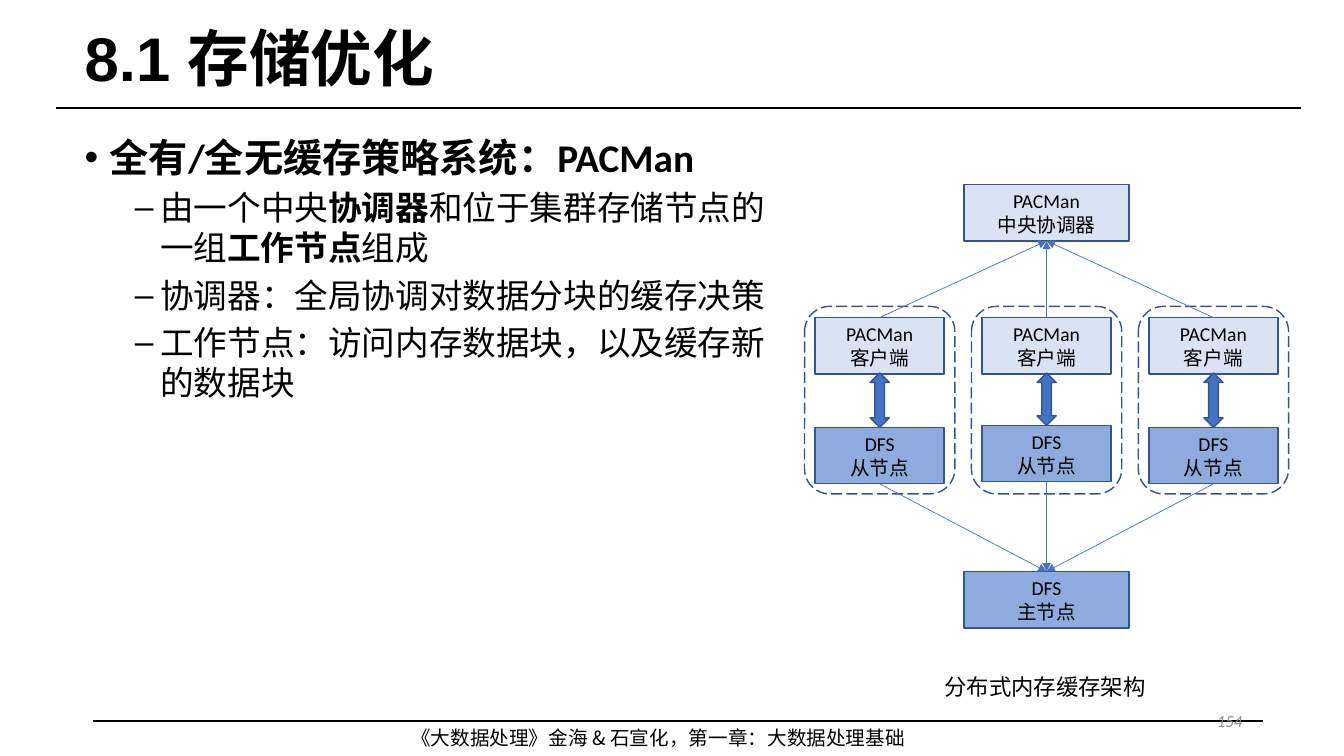
from lxml import etree
from pptx import Presentation
from pptx.dml.color import RGBColor
from pptx.enum.dml import MSO_LINE
from pptx.enum.shapes import MSO_CONNECTOR, MSO_SHAPE
from pptx.enum.text import MSO_ANCHOR, PP_ALIGN
from pptx.oxml.ns import qn
from pptx.util import Inches, Pt

COLORS = {
    "ink": "000000",
    "page_number": "8C8C8C",
    "pacman": "DAE3F3",
    "dfs": "8FAADC",
    "border": "325491",
    "arrow": "4472C4",
}
TOP, BOTTOM = 0, 2  # connection sites of a rectangle
NODE_HEIGHT = 0.56


def color(name):
    return RGBColor.from_string(COLORS[name])


def format_run(run, size, font="Calibri", ink="ink", bold=False, italic=False):
    run.font.size = Pt(size)
    run.font.name = font
    run.font.bold = bold
    run.font.italic = italic
    run.font.color.rgb = color(ink)


def add_label(slide, box, text, size, font, ink="ink", align=PP_ALIGN.LEFT,
              anchor=MSO_ANCHOR.TOP, wrap=True, italic=False):
    label = slide.shapes.add_textbox(*map(Inches, box))
    frame = label.text_frame
    frame.word_wrap = wrap
    frame.vertical_anchor = anchor
    frame.text = text
    paragraph = frame.paragraphs[0]
    paragraph.alignment = align
    format_run(paragraph.runs[0], size, font, ink, italic=italic)
    if font.startswith("Noto"):
        east_asian = etree.SubElement(paragraph.runs[0].font._element, qn("a:ea"))
        east_asian.set("typeface", font)


def add_line(slide, start, end, ink, width):
    line = slide.shapes.add_connector(
        MSO_CONNECTOR.STRAIGHT, *map(Inches, (*start, *end)))
    line.line.color.rgb = color(ink)
    line.line.width = Pt(width)
    etree.SubElement(line._element.spPr, qn("a:effectLst"))
    return line


def add_outlined(slide, kind, box, fill=None):
    shape = slide.shapes.add_shape(kind, *map(Inches, box))
    shape.shadow.inherit = False
    if fill:
        shape.fill.solid()
        shape.fill.fore_color.rgb = color(fill)
    else:
        shape.fill.background()
    shape.line.color.rgb = color("border")
    shape.line.width = Pt(1)
    return shape


def add_node(slide, box, fill, text):
    node = add_outlined(slide, MSO_SHAPE.RECTANGLE, box, fill)
    frame = node.text_frame
    frame.vertical_anchor = MSO_ANCHOR.MIDDLE
    frame.text = text
    for paragraph in frame.paragraphs:
        paragraph.alignment = PP_ALIGN.CENTER
        format_run(paragraph.runs[0], 14)
    return node


def add_link(slide, source, source_site, target, target_site):
    link = add_line(slide, (0, 0), (1, 1), "arrow", 0.5)
    link.begin_connect(source, source_site)
    link.end_connect(target, target_site)
    etree.SubElement(link.line._get_or_add_ln(), qn("a:tailEnd"), type="triangle")


# Rules, footer and page number
def add_page_frame(slide):
    add_line(slide, (0.56, 1.07), (12.9, 1.07), "ink", 1.75)
    add_line(slide, (0.92, 7.15), (12.53, 7.15), "ink", 1.25)
    add_label(slide, (3.98, 7.15, 5.37, 0.34),
              "《大数据处理》金海 & 石宣化，第一章：大数据处理基础", 14, "Noto Sans CJK SC")
    add_label(slide, (9.42, 6.95, 3, 0.4), "154", 12, "Calibri", "page_number",
              PP_ALIGN.RIGHT, MSO_ANCHOR.MIDDLE, italic=True)


def add_title(slide, box):
    title = slide.shapes.title
    title.left, title.top, title.width, title.height = map(Inches, box)
    frame = title.text_frame
    frame.vertical_anchor = MSO_ANCHOR.MIDDLE
    frame.text = "8.1 存储优化"
    paragraph = frame.paragraphs[0]
    paragraph.alignment = PP_ALIGN.LEFT
    paragraph.line_spacing = 0.9
    format_run(paragraph.runs[0], 44, "Arial", bold=True)


# Bulleted text: level and (text, bold) runs of each point
def add_points(slide, box):
    points = [
        (0, [("全有/全无缓存策略系统：PACMan", True)]),
        (1, [("由一个中央", False), ("协调器", True),
             ("和位于集群存储节点的一组", False), ("工作节点", True), ("组成", False)]),
        (1, [("协调器：全局协调对数据分块的缓存决策", False)]),
        (1, [("工作节点：访问内存数据块，以及缓存新的数据块", False)]),
    ]
    frame = slide.shapes.add_textbox(*map(Inches, box)).text_frame
    frame.word_wrap = True
    for index, (level, pieces) in enumerate(points):
        paragraph = frame.add_paragraph() if index else frame.paragraphs[0]
        paragraph.level = level
        paragraph.space_before = Pt(5 if index else 0)
        properties = paragraph._p.get_or_add_pPr()
        properties.set("marL", str(Inches(0.25 + 0.5 * level)))
        properties.set("indent", str(Inches(-0.25)))
        etree.SubElement(properties, qn("a:buFont"), typeface="Arial")
        etree.SubElement(properties, qn("a:buChar"), char="•–"[level])
        for text, bold in pieces:
            run = paragraph.add_run()
            run.text = text
            format_run(run, 24 if level else 28, bold=bold)


# Architecture: coordinator on top, three worker machines, master below
def add_architecture(slide, box):
    left, top, width, height = box
    machine_width, client_width, hub_width = 1.49, 1.28, 1.64
    pitch = (width - machine_width) / 2
    hub_left = left + (width - hub_width) / 2

    coordinator = add_node(slide, (hub_left, top, hub_width, NODE_HEIGHT),
                           "pacman", "PACMan\n中央协调器")
    master = add_node(slide, (hub_left, top + height - NODE_HEIGHT, hub_width, NODE_HEIGHT),
                      "dfs", "DFS\n主节点")
    for column in range(3):
        machine_left = left + column * pitch
        center = machine_left + machine_width / 2
        client_left = center - client_width / 2
        client_top = top + 1.32
        slave_top = top + (2.39 if column == 1 else 2.41)
        client = add_node(slide, (client_left, client_top, client_width, NODE_HEIGHT),
                          "pacman", "PACMan\n客户端")
        slave = add_node(slide, (client_left, slave_top, client_width, NODE_HEIGHT),
                         "dfs", "DFS\n从节点")
        exchange_top = client_top + NODE_HEIGHT - 0.01
        exchange = add_outlined(
            slide, MSO_SHAPE.UP_DOWN_ARROW,
            (center - 0.095, exchange_top, 0.19, slave_top - exchange_top), "arrow")
        exchange.fill.fore_color.rgb = color("arrow")
        machine = add_outlined(slide, MSO_SHAPE.ROUNDED_RECTANGLE,
                               (machine_left, top + 1.21, machine_width, 1.86))
        machine.line.dash_style = MSO_LINE.LONG_DASH
        add_link(slide, client, TOP, coordinator, BOTTOM)
        add_link(slide, slave, BOTTOM, master, TOP)
    add_label(slide, (hub_left - 0.29, top + height + 0.4, 2.22, 0.37),
              "分布式内存缓存架构", 16, "Noto Sans CJK SC", wrap=False)


def main():
    presentation = Presentation()
    presentation.slide_width = Inches(13.33)
    presentation.slide_height = Inches(7.5)
    slide = presentation.slides.add_slide(presentation.slide_layouts[5])
    add_page_frame(slide)
    add_title(slide, (0.74, 0.15, 11.95, 0.92))
    add_points(slide, (0.74, 1.27, 7.22, 5.49))
    add_architecture(slide, (7.98, 1.83, 4.8, 4.4))
    presentation.save("out.pptx")


if __name__ == "__main__":
    main()
